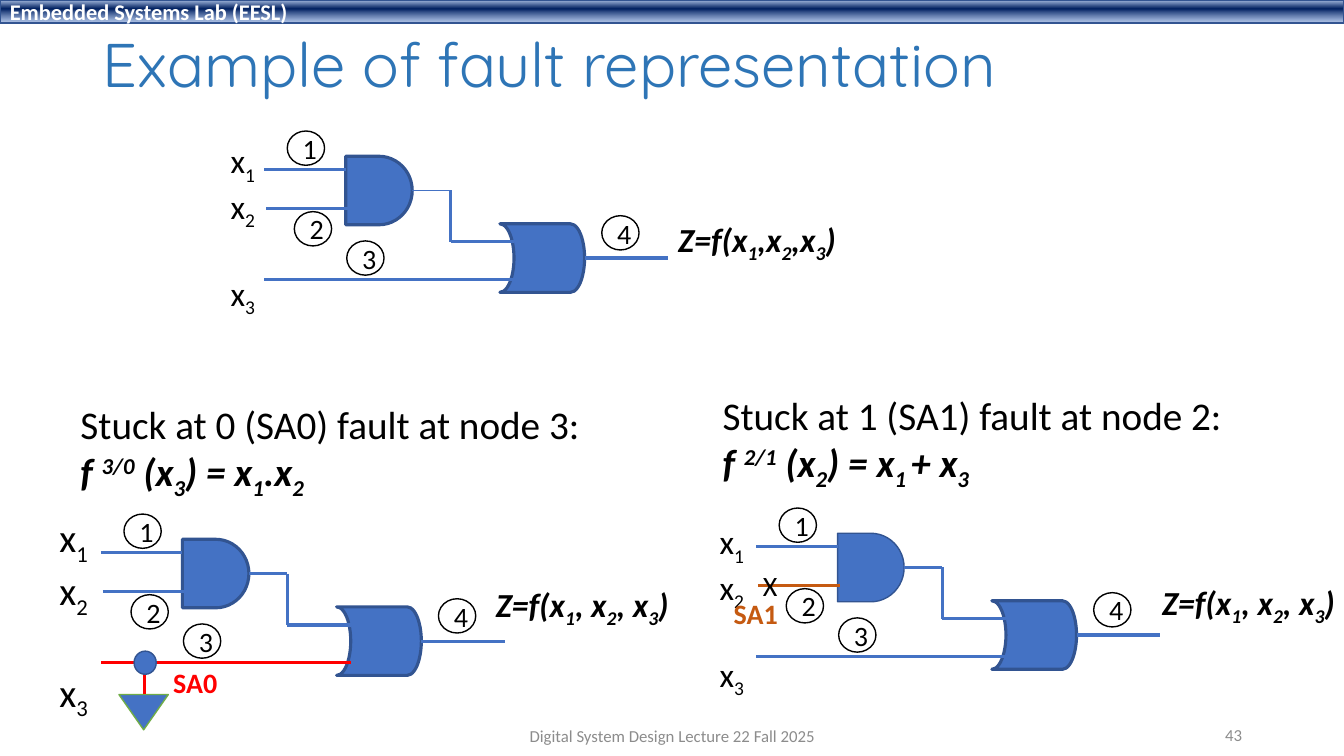
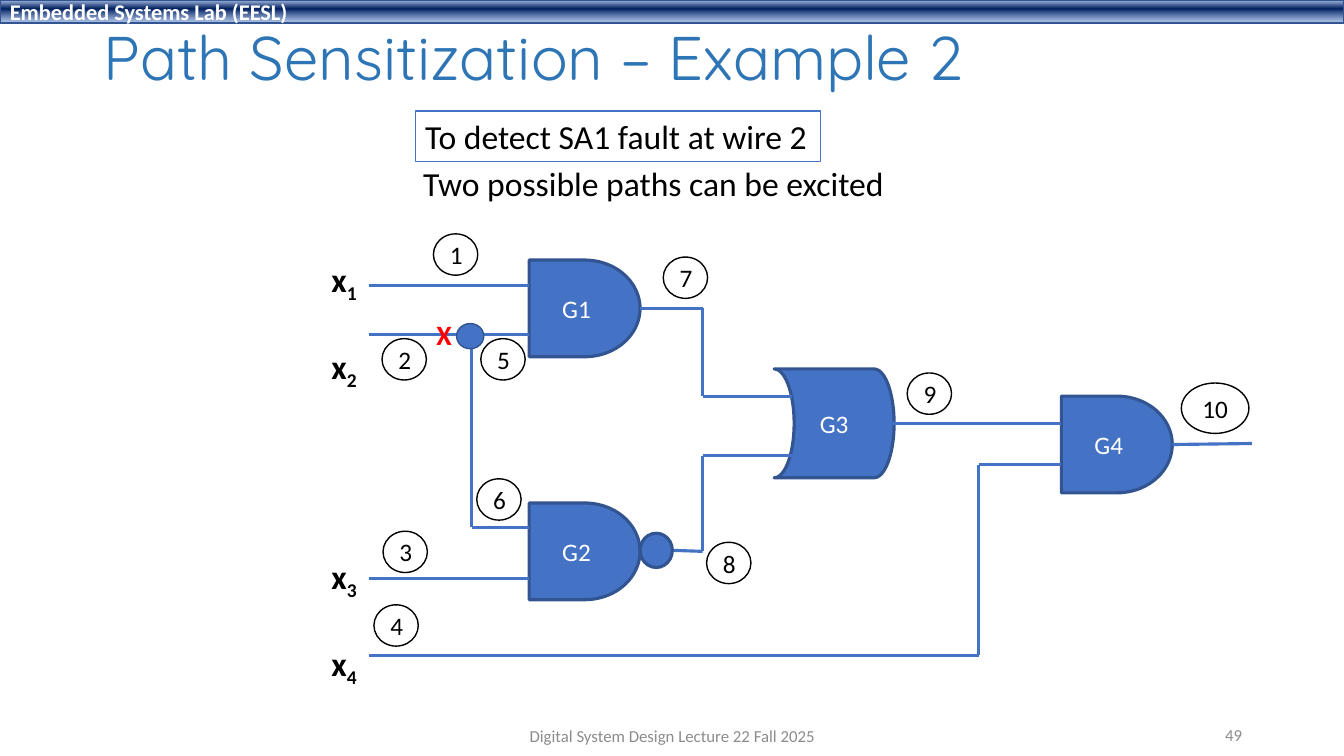
from dataclasses import dataclass
from typing import Optional

from lxml import etree
from pptx import Presentation
from pptx.dml import color
from pptx.enum import dml, shapes, text
from pptx.oxml import ns
from pptx.util import Inches, Length, Pt

COLUMNS, ROWS = 133.33, 75
CELL = 0.1
LINE_HEIGHT = 1.22
COLORS = {
    "gate": "4472C4", "edge": "325491", "title": "2E75B6", "black": "000000",
    "white": "FFFFFF", "red": "FF0000", "orange": "C55A11", "green": "70AD47",
    "footer": "8C8C8C", "band_top": "ABC0E4", "band_middle": "002060", "band_bottom": "7E9ED6",
}
BAND_STOPS = [(2, "band_top", 100), (38, "band_middle", 100), (93, "band_bottom", 64)]
AND = shapes.MSO_SHAPE.FLOWCHART_DELAY
OR = shapes.MSO_SHAPE.FLOWCHART_STORED_DATA
OVAL = shapes.MSO_SHAPE.OVAL
LEFT, CENTER, RIGHT = text.PP_ALIGN.LEFT, text.PP_ALIGN.CENTER, text.PP_ALIGN.RIGHT


@dataclass(frozen=True)
class Area:
    """A place on the grid, in columns and rows."""
    column: float
    row: float
    columns: float
    rows: float

    def lengths(self) -> list[Length]:
        """Return left, top, width and height."""
        return [grid(n) for n in (self.column, self.row, self.columns, self.rows)]


@dataclass(frozen=True)
class Style:
    """The look of a paragraph; gap counts empty lines above it."""
    size: float
    color: str = "black"
    bold: bool = False
    italic: bool = False
    align: text.PP_ALIGN = LEFT
    font: str = "Calibri"
    gap: int = 0
    spacing: Optional[float] = None


@dataclass(frozen=True)
class Circuit:
    """A three-input circuit whose first wire starts at column, row."""
    column: float
    row: float
    inputs: Area
    input_size: float
    output: str
    output_area: Area
    second: str = "gate"
    third: str = "gate"
    and_edge: float = 2.25
    and_wire: float = 2.25


@dataclass(frozen=True)
class Gate:
    """A named logic gate."""
    name: str
    kind: shapes.MSO_SHAPE
    area: Area


@dataclass(frozen=True)
class Badge:
    """A wire number in an oval."""
    number: int
    column: float
    row: float
    columns: float = 4.4
    rows: float = 4.1


CIRCUITS = [
    Circuit(26.2, 16.8, Area(-4.3, -3.4, 4.6, 17.2), 24, "Z=f(x|1|,x|2|,x|3|)",
            Area(40.1, 4.4, 18.1, 5), and_wire=0.5),
    Circuit(10, 54.8, Area(-5.1, -4.4, 5.1, 19.9), 28, "Z=f(x|1|, x|2|, x|3|)",
            Area(38.2, 2.6, 19.8, 5), third="red"),
    Circuit(75, 54.2, Area(-4.6, -3, 4.6, 17.2), 24, "Z=f(x|1|, x|2|, x|3|)",
            Area(39.3, 3, 19.8, 5), second="orange", and_edge=1),
]
CIRCUIT_BADGES = [(2.3, -3.8), (3, 4.2), (8.2, 7.1), (33.5, 4.6)]
FAULTS = [
    (Area(7, 39.2, 52.1, 10.4), "Stuck at 0 (SA0) fault at node 3:",
     "f |^3/0| (x|3|) = x|1|.x|2"),
    (Area(70.7, 38.3, 52.1, 10.4), "Stuck at 1 (SA1) fault at node 2:",
     "f |^2/1| (x|2|) = x|1 |+ x|3"),
]
GATES = [
    Gate("G1", AND, Area(52.5, 25.8, 11, 9.6)),
    Gate("G3", OR, Area(76.8, 36.6, 11.9, 10.8)),
    Gate("G4", AND, Area(105.3, 39.3, 11, 9.6)),
    Gate("G2", AND, Area(52.5, 49.9, 11, 9.6)),
]
WIRES = [
    [(63.5, 30.6), (69.7, 30.6), (69.7, 39.3), (78.6, 39.3)],
    [(66.7, 54.6), (69.7, 54.7), (69.7, 45.2), (78.6, 45.2)],
    [(88.6, 42), (105.3, 42)],
    [(116.3, 44.1), (124.2, 44)],
    [(105.3, 46.1), (97.1, 46.1), (97.1, 65), (36.6, 65)],
    [(52.5, 57.4), (36.6, 57.4)],
    [(52.5, 52.3), (46.8, 52.3), (46.8, 33.2)],
    [(52.5, 33.2), (36.6, 33.2)],
    [(52.5, 28.3), (36.6, 28.3)],
]
BADGES = [
    Badge(1, 43, 23.2), Badge(2, 37.9, 33.6), Badge(3, 38, 52.7), Badge(4, 37.1, 60),
    Badge(5, 47.7, 33.6), Badge(6, 47.3, 47.5), Badge(7, 65.8, 25.5), Badge(8, 70.1, 53.8),
    Badge(9, 90, 37), Badge(10, 117.2, 38, 6.7, 5),
]


def grid(cells: float) -> Length:
    """Turn grid cells into a length."""
    return Inches(cells * CELL)


def rgb(name: str) -> color.RGBColor:
    """Look up a named colour."""
    return color.RGBColor.from_string(COLORS[name])


def write(frame, lines: list[tuple[str, Style]]) -> None:
    """Fill a frame; odd pieces between bars are subscripts, or superscripts after ^."""
    for index, (words, style) in enumerate(lines):
        para = frame.paragraphs[0] if index == 0 else frame.add_paragraph()
        para.alignment = style.align
        para.line_spacing = style.spacing
        if style.gap:
            para.space_before = Pt(round(style.gap * style.size * LINE_HEIGHT, 1))
        font = para.font
        font.name, font.size = style.font, Pt(style.size)
        font.bold, font.italic = style.bold, style.italic
        font.color.rgb = rgb(style.color)
        for position, piece in enumerate(words.split("|")):
            if piece:
                span = para.add_run()
                span.text = piece.lstrip("^")
                if position % 2:
                    shift = "30000" if piece.startswith("^") else "-25000"
                    span._r.get_or_add_rPr().set("baseline", shift)


def add_text(page, area: Area, lines: list[tuple[str, Style]], wrap: bool = False):
    """Add a text box; wrapped ones are centred vertically."""
    box = page.shapes.add_textbox(*area.lengths())
    frame = box.text_frame
    frame.word_wrap = wrap
    if wrap:
        frame.vertical_anchor = text.MSO_ANCHOR.MIDDLE
    else:
        frame.auto_size = text.MSO_AUTO_SIZE.SHAPE_TO_FIT_TEXT
    write(frame, lines)
    return box


def add_shape(page, kind: shapes.MSO_SHAPE, area: Area, fill: Optional[str] = "gate",
              edge: str = "edge", weight: float = 1):
    """Add a preset shape without shadow."""
    shape = page.shapes.add_shape(kind, *area.lengths())
    shape.shadow.inherit = False
    if fill:
        shape.fill.solid()
        shape.fill.fore_color.rgb = rgb(fill)
    else:
        shape.fill.background()
    shape.line.color.rgb = rgb(edge)
    shape.line.width = Pt(weight)
    return shape


def add_gate(page, kind: shapes.MSO_SHAPE, area: Area, weight: float = 2.25, name: str = "") -> None:
    """Add a logic gate, with OR gates facing right."""
    gate = add_shape(page, kind, area, weight=weight)
    if kind == OR:
        gate._element.spPr.find(ns.qn("a:xfrm")).set("flipH", "1")
    if name:
        write(gate.text_frame, [(name, Style(18, "white", align=CENTER))])


def add_badge(page, badge: Badge, size: float) -> None:
    """Add a numbered oval."""
    oval = add_shape(page, OVAL, Area(badge.column, badge.row, badge.columns, badge.rows),
                     fill=None, edge="black")
    write(oval.text_frame, [(str(badge.number), Style(size, align=CENTER))])


def add_wire(page, points: list[tuple[float, float]], paint: str = "gate", weight: float = 2.25) -> None:
    """Join points with straight lines."""
    for start, end in zip(points, points[1:]):
        wire = page.shapes.add_connector(shapes.MSO_CONNECTOR.STRAIGHT,
                                         *[grid(n) for n in (*start, *end)])
        wire.line.color.rgb = rgb(paint)
        wire.line.width = Pt(weight)
        etree.SubElement(wire._element.spPr, ns.qn("a:effectLst"))


def add_band(page) -> None:
    """Add the gradient band with the lab's name."""
    band = add_shape(page, shapes.MSO_SHAPE.RECTANGLE, Area(0, 0, COLUMNS, 2.3))
    band.fill.gradient()
    band.fill.gradient_angle = 270
    stops = band._element.spPr.find(ns.qn("a:gradFill")).find(ns.qn("a:gsLst"))
    stops.clear()
    for position, name, opacity in BAND_STOPS:
        stop = etree.SubElement(stops, ns.qn("a:gs"), pos=str(position * 1000))
        paint = etree.SubElement(stop, ns.qn("a:srgbClr"), val=COLORS[name])
        if opacity < 100:
            etree.SubElement(paint, ns.qn("a:alpha"), val=str(opacity * 1000))
    write(band.text_frame, [("Embedded Systems Lab (EESL)", Style(16, "white", bold=True))])


def add_page(deck, title: str, title_area: Area, number: int):
    """Add a blank page with band, title and footer."""
    page = deck.slides.add_slide(deck.slide_layouts[6])
    add_band(page)
    add_text(page, title_area, [(title, Style(44, "title", font="Quicksand", spacing=0.9))], wrap=True)
    add_text(page, Area(44.2, 71, 45, 4), [("Digital System Design Lecture 22 Fall 2025",
             Style(12, "footer", align=CENTER))], wrap=True)
    add_text(page, Area(94.2, 70.9, 30, 4),
             [(str(number), Style(12, "footer", align=RIGHT))], wrap=True)
    return page


def add_circuit(page, circuit: Circuit) -> None:
    """Draw an AND gate feeding an OR gate, with wires and labels."""
    def shift(area: Area) -> Area:
        return Area(circuit.column + area.column, circuit.row + area.row, area.columns, area.rows)

    def wire(*points: tuple[float, float], paint: str = "gate", weight: float = 2.25) -> None:
        add_wire(page, [(circuit.column + x, circuit.row + y) for x, y in points], paint, weight)

    add_gate(page, AND, shift(Area(8.1, -1.3, 6.6, 6.8)), circuit.and_edge)
    add_gate(page, OR, shift(Area(23.4, 5.4, 8.4, 6.8)))
    wire((0, 0), (8.1, 0))
    wire((0.2, 3.9), (8.3, 3.9), paint=circuit.second)
    wire((14.7, 2.1), (18.5, 2.1), weight=circuit.and_wire)
    wire((18.5, 2.1), (18.5, 7.2), (24.8, 7.2))
    wire((24.8, 10.9), (0, 10.9), paint=circuit.third)
    wire((31.8, 8.8), (40.1, 8.8))
    plain = Style(circuit.input_size)
    add_text(page, shift(circuit.inputs),
             [("x|1", plain), ("x|2", plain), ("x|3", Style(circuit.input_size, gap=1))])
    for number, (column, row) in enumerate(CIRCUIT_BADGES, start=1):
        add_badge(page, Badge(number, circuit.column + column, circuit.row + row, 3.7, 3.4), 20)
    add_text(page, shift(circuit.output_area), [(circuit.output, Style(24, bold=True, italic=True))])


def add_fault_page(deck) -> None:
    """Build the page on fault representation."""
    page = add_page(deck, "Example of fault representation", Area(9.2, 1.7, 115, 10), 43)
    for circuit in CIRCUITS:
        add_circuit(page, circuit)
    for area, heading, formula in FAULTS:
        add_text(page, area, [(heading, Style(28)), (formula, Style(28, bold=True, italic=True))])
    ground = add_shape(page, shapes.MSO_SHAPE.ISOSCELES_TRIANGLE, Area(11.8, 68.9, 4.9, 3.5), edge="green")
    ground.rotation = 180
    ground.fill.patterned()
    ground.fill.pattern = dml.MSO_PATTERN.DARK_HORIZONTAL
    ground.fill.fore_color.rgb, ground.fill.back_color.rgb = rgb("gate"), rgb("white")
    add_wire(page, [(14.3, 68.9), (14.3, 65.8)], "red")
    add_shape(page, OVAL, Area(13.3, 64.6, 2.2, 2.3))
    add_text(page, Area(16.2, 65.5, 6.4, 4.4), [("SA0", Style(20, "red", bold=True))])
    add_text(page, Area(74.7, 55.9, 3.5, 4.4), [("X", Style(20))])
    add_text(page, Area(71.8, 58.7, 6.4, 4.4), [("SA1", Style(20, "orange", bold=True))])


def add_path_page(deck) -> None:
    """Build the page on path sensitization."""
    page = add_page(deck, "Path Sensitization – Example 2", Area(9.3, 1.5, 115, 9), 49)
    add_text(page, Area(41, 15.7, 48.1, 5), [("Two possible paths can be excited", Style(24))])
    task = add_text(page, Area(41.2, 11, 40.2, 5), [("To detect SA1 fault at wire 2", Style(24))])
    task.fill.solid()
    task.fill.fore_color.rgb = rgb("white")
    task.line.color.rgb = rgb("gate")
    task.line.width = Pt(1)
    for gate in GATES:
        add_gate(page, gate.kind, gate.area, name=gate.name)
    for points in WIRES:
        add_wire(page, points)
    add_shape(page, OVAL, Area(63.5, 52.9, 3.2, 3.4), weight=2.25)
    add_text(page, Area(42.3, 31, 3.6, 4.4), [("X", Style(20, "red", bold=True))])
    for badge in BADGES:
        add_badge(page, badge, 18)
    add_text(page, Area(31.9, 25.2, 4.7, 41.4),
             [(f"x|{n}", Style(24, bold=True, gap=gap)) for n, gap in enumerate((0, 1, 4, 1), start=1)])
    add_shape(page, OVAL, Area(45.3, 32.1, 2.7, 2.5))


def main() -> None:
    """Build and save the deck."""
    deck = Presentation()
    deck.slide_width, deck.slide_height = grid(COLUMNS), grid(ROWS)
    add_fault_page(deck)
    add_path_page(deck)
    deck.save("out.pptx")


if __name__ == "__main__":
    main()
